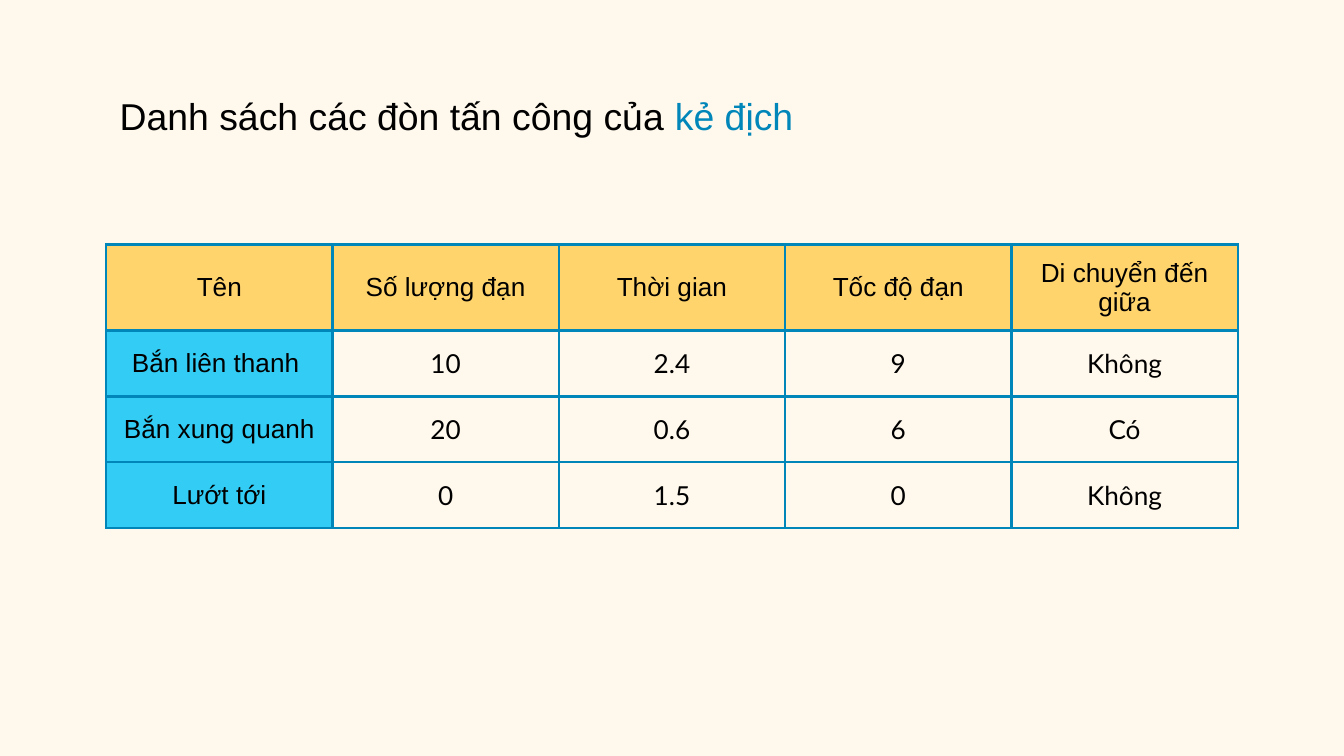
"""Build a slide with a table of the enemy's attacks."""
import lxml.etree
import pptx
import pptx.dml.color
import pptx.enum.text
import pptx.oxml
import pptx.oxml.ns
import pptx.util

BLACK = pptx.dml.color.RGBColor(0x00, 0x00, 0x00)
BLUE = pptx.dml.color.RGBColor(0x00, 0x86, 0xB9)
CYAN = pptx.dml.color.RGBColor(0x32, 0xCC, 0xF5)
YELLOW = pptx.dml.color.RGBColor(0xFF, 0xD4, 0x6D)
CREAM = pptx.dml.color.RGBColor(0xFF, 0xF9, 0xED)

ATTACKS = [
    ["Tên", "Số lượng đạn", "Thời gian", "Tốc độ đạn", "Di chuyển đến giữa"],
    ["Bắn liên thanh ", "10", "2.4", "9", "Không"],
    ["Bắn xung quanh", "20", "0.6", "6", "Có"],
    ["Lướt tới", "0", "1.5", "0", "Không"],
]
HEADER_HEIGHT = pptx.util.Inches(0.64)
ROW_HEIGHT = pptx.util.Inches(0.49)
INSET = pptx.util.Inches(0.1)


def format_run(run, font_name, size, color):
    run.font.name = font_name
    run.font.size = pptx.util.Pt(size)
    run.font.color.rgb = color


def add_borders(cell, color, width):
    properties = cell._tc.get_or_add_tcPr()
    for position, side in enumerate(("a:lnL", "a:lnR", "a:lnT", "a:lnB")):
        line = pptx.oxml.parse_xml(
            f'<{side} {pptx.oxml.ns.nsdecls("a")} w="{pptx.util.Pt(width)}">'
            f'<a:solidFill><a:srgbClr val="{color}"/></a:solidFill></{side}>'
        )
        properties.insert(position, line)


presentation = pptx.Presentation()
presentation.slide_width = pptx.util.Inches(10)
presentation.slide_height = pptx.util.Inches(5.625)
margin = int(presentation.slide_width * 0.079)
content_width = presentation.slide_width - 2 * margin

slide = presentation.slides.add_slide(presentation.slide_layouts[5])
slide.background.fill.solid()
slide.background.fill.fore_color.rgb = CREAM

title = slide.shapes.title
title.left, title.top = margin, pptx.util.Inches(0.59)
title.width, title.height = content_width, pptx.util.Inches(0.52)
title_frame = title.text_frame
title_frame.word_wrap = True
title_frame.auto_size = pptx.enum.text.MSO_AUTO_SIZE.NONE
title_frame.vertical_anchor = pptx.enum.text.MSO_ANCHOR.TOP
title_frame.margin_left = title_frame.margin_right = INSET
title_frame.margin_top = title_frame.margin_bottom = INSET
paragraph = title_frame.paragraphs[0]
paragraph.alignment = pptx.enum.text.PP_ALIGN.JUSTIFY
for text, color in (("Danh sách các đòn tấn công của ", BLACK), ("kẻ địch", BLUE)):
    run = paragraph.add_run()
    run.text = text
    format_run(run, "Arial", 20, color)

table = slide.shapes.add_table(
    len(ATTACKS), len(ATTACKS[0]), margin, pptx.util.Inches(1.82),
    content_width, HEADER_HEIGHT + ROW_HEIGHT * (len(ATTACKS) - 1),
).table
table.first_row = table.horz_banding = False

for row_index, values in enumerate(ATTACKS):
    table.rows[row_index].height = ROW_HEIGHT if row_index else HEADER_HEIGHT
    for column_index, value in enumerate(values):
        cell = table.cell(row_index, column_index)
        is_label = row_index == 0 or column_index == 0
        cell.text_frame.text = value
        cell.vertical_anchor = pptx.enum.text.MSO_ANCHOR.MIDDLE
        cell.margin_left = cell.margin_right = INSET
        cell.margin_top = cell.margin_bottom = INSET
        if is_label:
            cell.fill.solid()
            cell.fill.fore_color.rgb = CYAN if row_index else YELLOW
        else:
            cell.fill.background()
        add_borders(cell, BLUE, 1.5)
        paragraph = cell.text_frame.paragraphs[0]
        paragraph.alignment = pptx.enum.text.PP_ALIGN.CENTER
        format_run(paragraph.runs[0], "Arial" if is_label else "Lato", 14, BLACK)

presentation.save("out.pptx")
